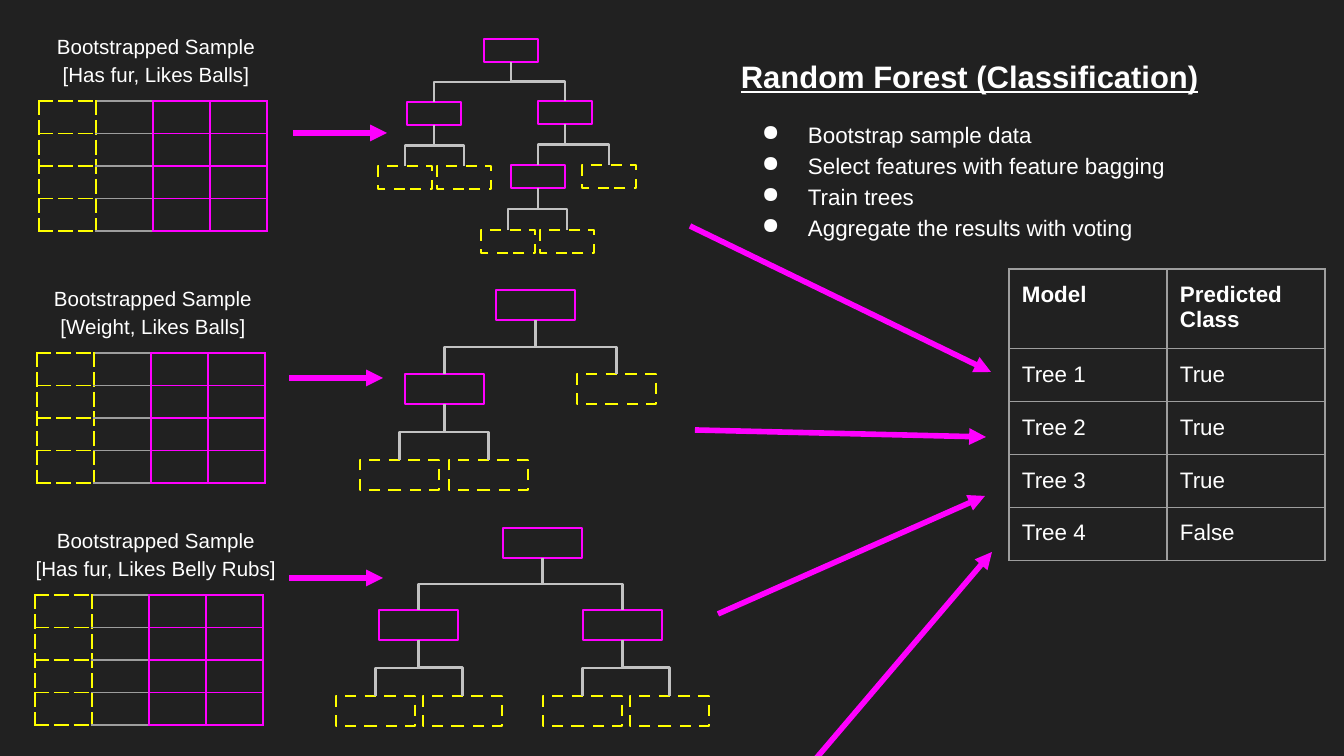
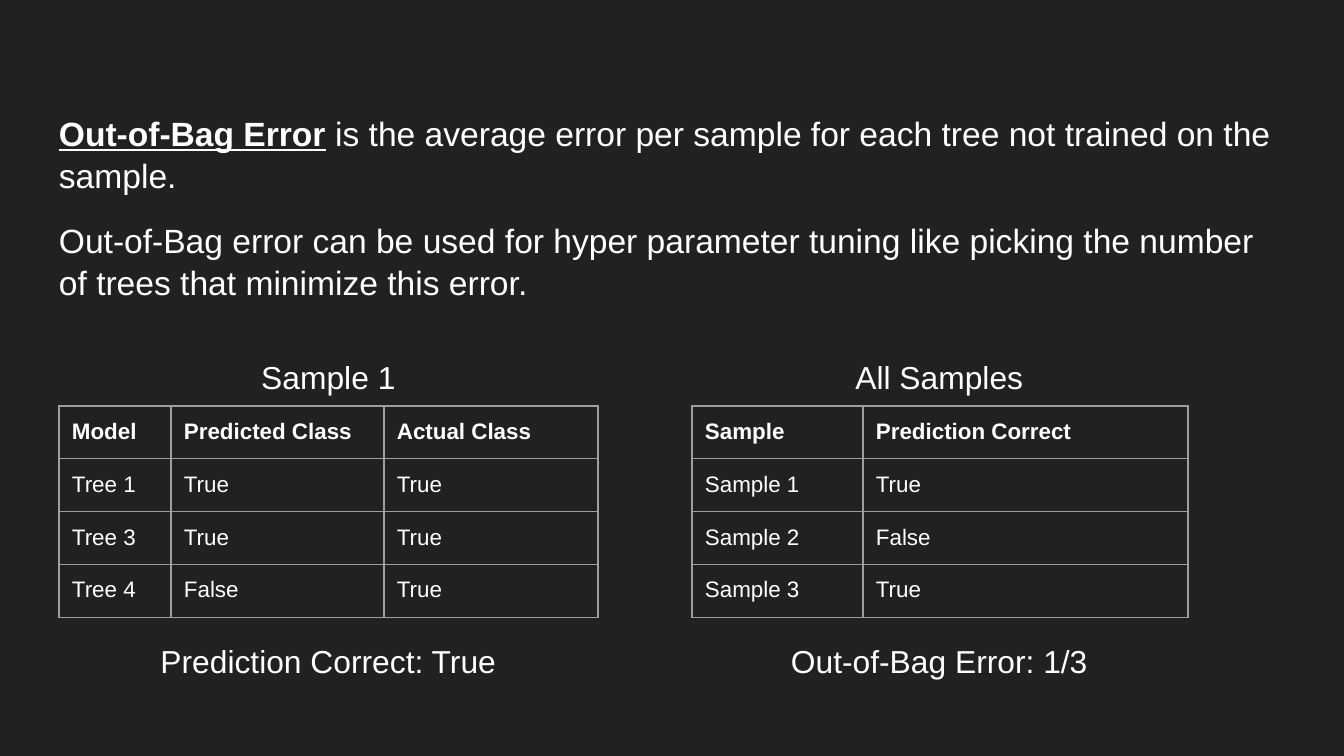
from lxml.etree import SubElement
from pptx import Presentation
from pptx.dml.color import RGBColor
from pptx.enum.dml import MSO_LINE
from pptx.enum.shapes import MSO_CONNECTOR, MSO_SHAPE
from pptx.enum.text import PP_ALIGN
from pptx.oxml.ns import qn
from pptx.util import Pt

EMU_PER_PX = 914400 / 134.4
FONT = "Arial"
BACKGROUND = "212121"
WHITE = "FFFFFF"
MAGENTA = "FF00FF"
YELLOW = "FFFF00"
GRAY = "9E9E9E"
BRANCH = "C2C2C2"
INSET = 13
TOP, BOTTOM = 0, 2


def px(length):
    return round(length * EMU_PER_PX)


def color(value):
    return RGBColor.from_string(value)


def write(paragraph, text, size=12, bold=False, underline=False, align=None,
          spacing=None, before=0, after=0):
    """Append text to a paragraph; a newline becomes a line break."""
    for index, line in enumerate(text.split("\n")):
        if index:
            paragraph.add_line_break()
        run = paragraph.add_run()
        run.text = line
        run.font.name = FONT
        run.font.size = Pt(size)
        run.font.bold = bold
        run.font.underline = underline
        run.font.color.rgb = color(WHITE)
    paragraph.alignment = align
    paragraph.line_spacing = spacing
    paragraph.space_before = Pt(before)
    paragraph.space_after = Pt(after)


def add_bullet(paragraph):
    properties = paragraph._p.get_or_add_pPr()
    properties.set("marL", str(px(67)))
    properties.set("indent", str(-px(46)))
    bullet_color = SubElement(properties, qn("a:buClr"))
    SubElement(bullet_color, qn("a:srgbClr"), val=WHITE)
    SubElement(properties, qn("a:buChar"), char="●")


def style_cell(cell, inset, left, right, top, bottom):
    """Clear the fill and draw the four borders, each a (colour, dash) pair."""
    properties = cell._tc.get_or_add_tcPr()
    sides = {"L": left, "R": right, "T": top, "B": bottom}
    for side, (line_color, dash) in sides.items():
        border = SubElement(properties, qn(f"a:ln{side}"), w=str(Pt(0.75)))
        fill = SubElement(border, qn("a:solidFill"))
        SubElement(fill, qn("a:srgbClr"), val=line_color)
        SubElement(border, qn("a:prstDash"), val=dash)
    cell.fill.background()
    cell.margin_left = cell.margin_right = px(inset)
    cell.margin_top = cell.margin_bottom = px(inset)


class Deck:
    def __init__(self):
        self.presentation = Presentation()
        self.presentation.slide_width = px(1344)
        self.presentation.slide_height = px(756)
        self.slide = None

    def new_slide(self):
        self.slide = self.presentation.slides.add_slide(self.presentation.slide_layouts[6])
        fill = self.slide.background.fill
        fill.solid()
        fill.fore_color.rgb = color(BACKGROUND)

    def text_frame(self, left, top, width, height):
        box = self.slide.shapes.add_textbox(px(left), px(top), px(width), px(height))
        frame = box.text_frame
        frame.word_wrap = True
        frame.margin_left = frame.margin_right = px(INSET)
        frame.margin_top = frame.margin_bottom = px(INSET)
        return frame

    def caption(self, text, left, top, width, height, size):
        frame = self.text_frame(left, top, width, height)
        write(frame.paragraphs[0], text, size=size, align=PP_ALIGN.CENTER,
              spacing=1.15, after=12)

    def empty_table(self, left, top, width, height, rows, columns):
        frame = self.slide.shapes.add_table(rows, columns, px(left), px(top),
                                            px(width), px(height))
        table = frame.table
        table.first_row = False
        table.horz_banding = False
        return table

    def result_table(self, left, top, widths, heights, rows):
        """Table with a bold first row and thin gray borders."""
        table = self.empty_table(left, top, sum(widths), sum(heights),
                                 len(rows), len(widths))
        for column, width in zip(table.columns, widths):
            column.width = px(width)
        for row_index, (height, values) in enumerate(zip(heights, rows)):
            table.rows[row_index].height = px(height)
            for column_index, value in enumerate(values):
                cell = table.cell(row_index, column_index)
                style_cell(cell, INSET, *[(GRAY, "solid")] * 4)
                write(cell.text_frame.paragraphs[0], value, bold=row_index == 0)

    def sample_grid(self, left, top):
        """Four by four grid: a dashed first column, the last two in magenta."""
        dashed, plain, bright = (YELLOW, "dash"), (GRAY, "solid"), (MAGENTA, "solid")
        column_borders = [[dashed] * 4, [dashed, bright, plain, plain],
                          [bright] * 4, [bright] * 4]
        table = self.empty_table(left, top, 228, 130, 4, 4)
        for row in table.rows:
            for cell, borders in zip(row.cells, column_borders):
                style_cell(cell, 0, *borders)
                paragraph = cell.text_frame.paragraphs[0]._p
                SubElement(paragraph, qn("a:endParaRPr"), sz="600")

    def node(self, left, top, size, is_leaf):
        width, height = size
        shape = self.slide.shapes.add_shape(MSO_SHAPE.RECTANGLE, px(left), px(top),
                                            px(width), px(height))
        shape.shadow.inherit = False
        shape.fill.background()
        shape.line.color.rgb = color(YELLOW if is_leaf else MAGENTA)
        shape.line.width = Pt(1.5)
        if is_leaf:
            shape.line.dash_style = MSO_LINE.DASH
        return shape

    def connector(self, kind, start, end, line_color, width):
        connector = self.slide.shapes.add_connector(kind, *start, *end)
        connector.line.color.rgb = color(line_color)
        connector.line.width = Pt(width)
        SubElement(connector._element.spPr, qn("a:effectLst"))
        return connector

    def arrow(self, start, end):
        start, end = [[px(value) for value in point] for point in (start, end)]
        connector = self.connector(MSO_CONNECTOR.STRAIGHT, start, end, MAGENTA, 3)
        SubElement(connector.line._get_or_add_ln(), qn("a:tailEnd"), type="triangle")

    def branch(self, parent, child):
        """Elbow between a parent's bottom and a child's top, bent halfway down."""
        parent_x, parent_y = parent.left + parent.width // 2, parent.top + parent.height
        child_x, child_y = child.left + child.width // 2, child.top
        to_right = child_x > parent_x
        ends = [(parent, BOTTOM, (parent_x, parent_y)), (child, TOP, (child_x, child_y))]
        if not to_right:
            ends.reverse()
        (first, first_site, start), (last, last_site, end) = ends
        connector = self.connector(MSO_CONNECTOR.ELBOW, start, end, BRANCH, 1.5)
        connector.begin_connect(first, first_site)
        connector.end_connect(last, last_site)
        # A quarter turn makes the elbow leave vertically, so the sides swap.
        drop, reach = child_y - parent_y, abs(child_x - parent_x)
        connector.left = (parent_x + child_x - drop) // 2
        connector.top = (parent_y + child_y - reach) // 2
        connector.width, connector.height = drop, reach
        connector.rotation = 270
        transform = connector._element.spPr.find(qn("a:xfrm"))
        transform.set("flipH", str(int(to_right)))
        transform.set("flipV", "0")

    def tree(self, size, left, top, *children):
        """Draw nested (left, top, child, ...) nodes; childless ones are leaves."""
        parent = self.node(left, top, size, not children)
        for child in children:
            self.branch(parent, self.tree(size, *child))
        return parent


def build_forest_slide(deck):
    deck.new_slide()
    small, large = (54, 23), (79, 30)
    deck.tree(small, 484, 39,
              (407, 102, (378, 166), (437, 166)),
              (538, 101, (511, 165, (481, 230), (540, 230)), (582, 165)))
    deck.tree(large, 496, 290,
              (405, 374, (360, 460), (449, 460)),
              (577, 374))
    deck.tree(large, 503, 528,
              (379, 610, (336, 696), (423, 696)),
              (583, 610, (543, 696), (630, 696)))

    for left, y in [(293, 133), (289, 378), (289, 578)]:
        deck.arrow((left, y), (left + 94, y))
    for start, end in [((690, 226), (991, 372)), ((695, 430), (986, 437)),
                       ((718, 614), (985, 496)), ((814, 761), (992, 552))]:
        deck.arrow(start, end)

    samples = [("[Has fur, Likes Balls]", 39, 101, 23, 266),
               ("[Weight, Likes Balls]", 37, 353, 20, 266),
               ("[Has fur, Likes Belly Rubs]", 35, 595, 18, 276)]
    for features, left, top, caption_left, caption_width in samples:
        deck.sample_grid(left, top)
        deck.caption(f"Bootstrapped Sample\n{features}", caption_left, top - 84,
                     caption_width, 81, size=11)

    frame = deck.text_frame(728, 39, 570, 208)
    write(frame.paragraphs[0], "Random Forest (Classification)", size=16.6,
          bold=True, underline=True, spacing=1.15)
    steps = ["Bootstrap sample data", "Select features with feature bagging",
             "Train trees", "Aggregate the results with voting"]
    for index, step in enumerate(steps):
        paragraph = frame.add_paragraph()
        write(paragraph, step, spacing=1.15, before=0 if index else 12)
        add_bullet(paragraph)

    deck.result_table(1009, 269, [158, 158], [77] + [53] * 4,
                      [("Model", "Predicted Class"), ("Tree 1", "True"),
                       ("Tree 2", "True"), ("Tree 3", "True"), ("Tree 4", "False")])


def build_error_slide(deck):
    deck.new_slide()
    frame = deck.text_frame(46, 98, 1253, 241)
    definition = frame.paragraphs[0]
    write(definition, "Out-of-Bag Error", size=18, bold=True, underline=True, spacing=1.05)
    write(definition, " is the average error per sample for each tree not trained "
          "on the sample.", size=18, spacing=1.05)
    write(frame.add_paragraph(), "Out-of-Bag error can be used for hyper parameter tuning "
          "like picking the number of trees that minimize this error.",
          size=18, spacing=1.05, before=12, after=12)

    heights = [52] * 4
    deck.result_table(59, 406, [112, 213, 214], heights,
                      [("Model", "Predicted Class", "Actual Class"),
                       ("Tree 1", "True", "True"), ("Tree 3", "True", "True"),
                       ("Tree 4", "False", "True")])
    deck.result_table(692, 406, [171, 325], heights,
                      [("Sample", "Prediction Correct"), ("Sample 1", "True"),
                       ("Sample 2", "False"), ("Sample 3", "True")])
    for left, heading, result in [(108, "Sample 1", "Prediction Correct: True"),
                                  (719, "All Samples", "Out-of-Bag Error: 1/3")]:
        deck.caption(heading, left, 339, 441, 66, size=17)
        deck.caption(result, left, 623, 441, 66, size=17)


def main():
    deck = Deck()
    build_forest_slide(deck)
    build_error_slide(deck)
    deck.presentation.save("out.pptx")


if __name__ == "__main__":
    main()
